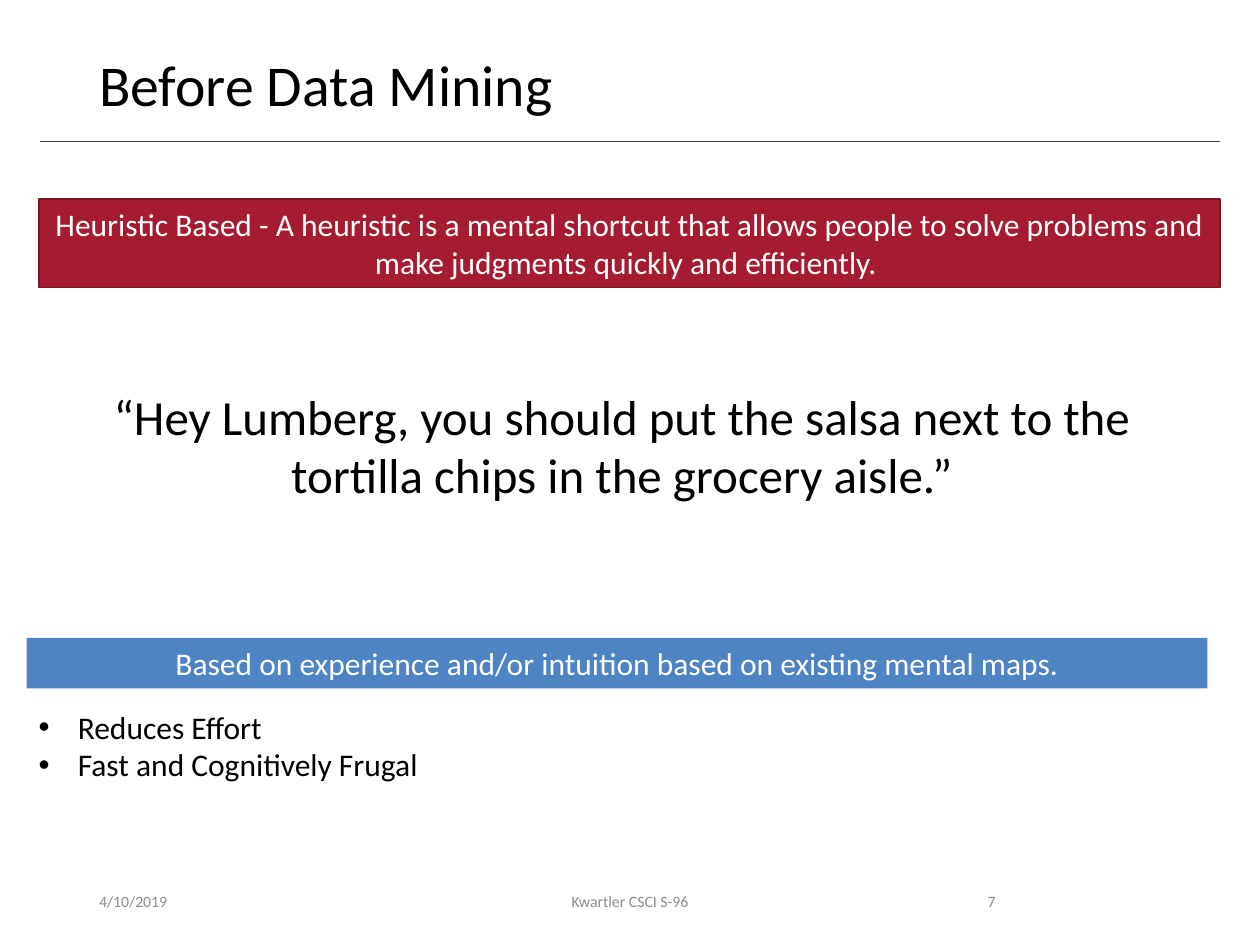
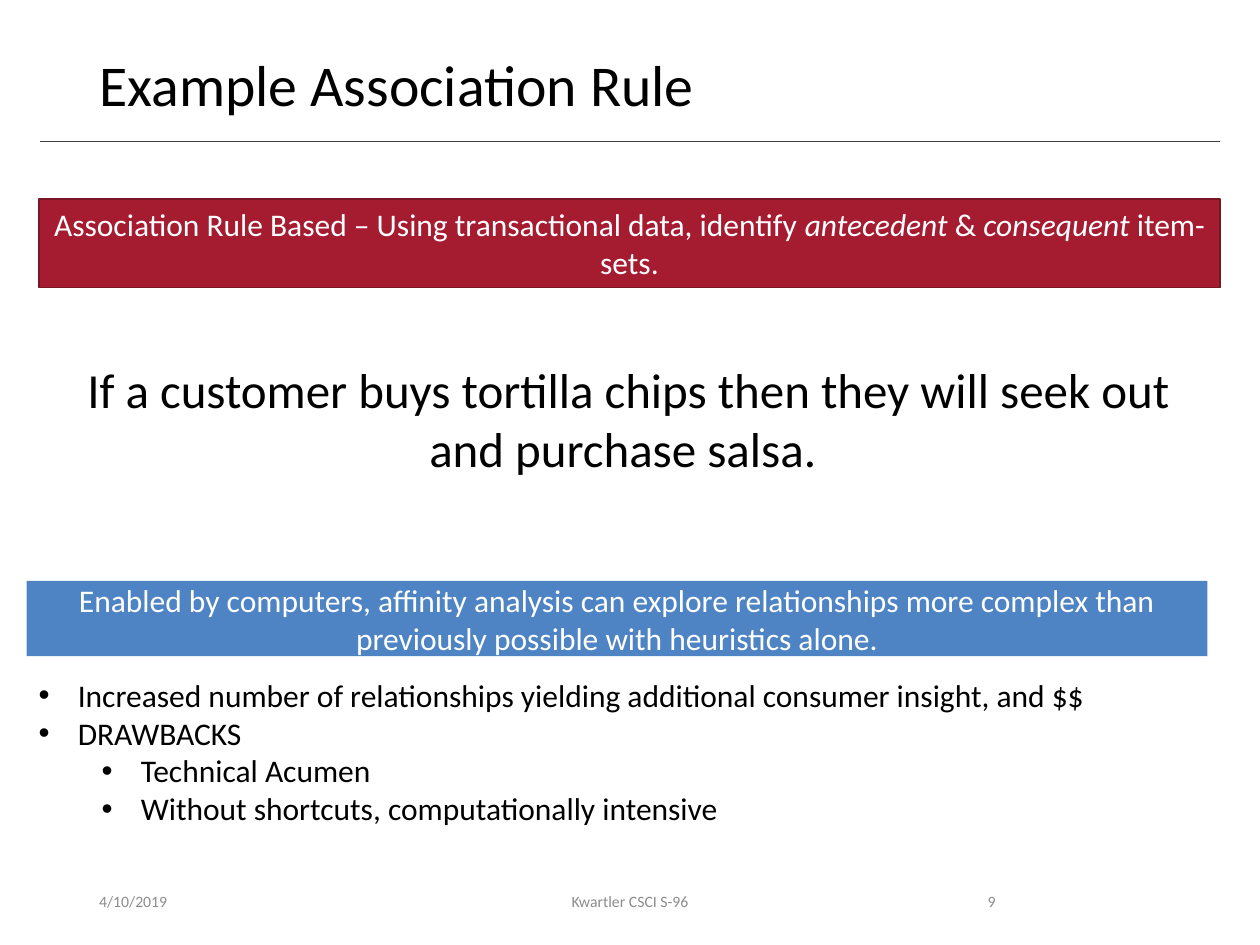
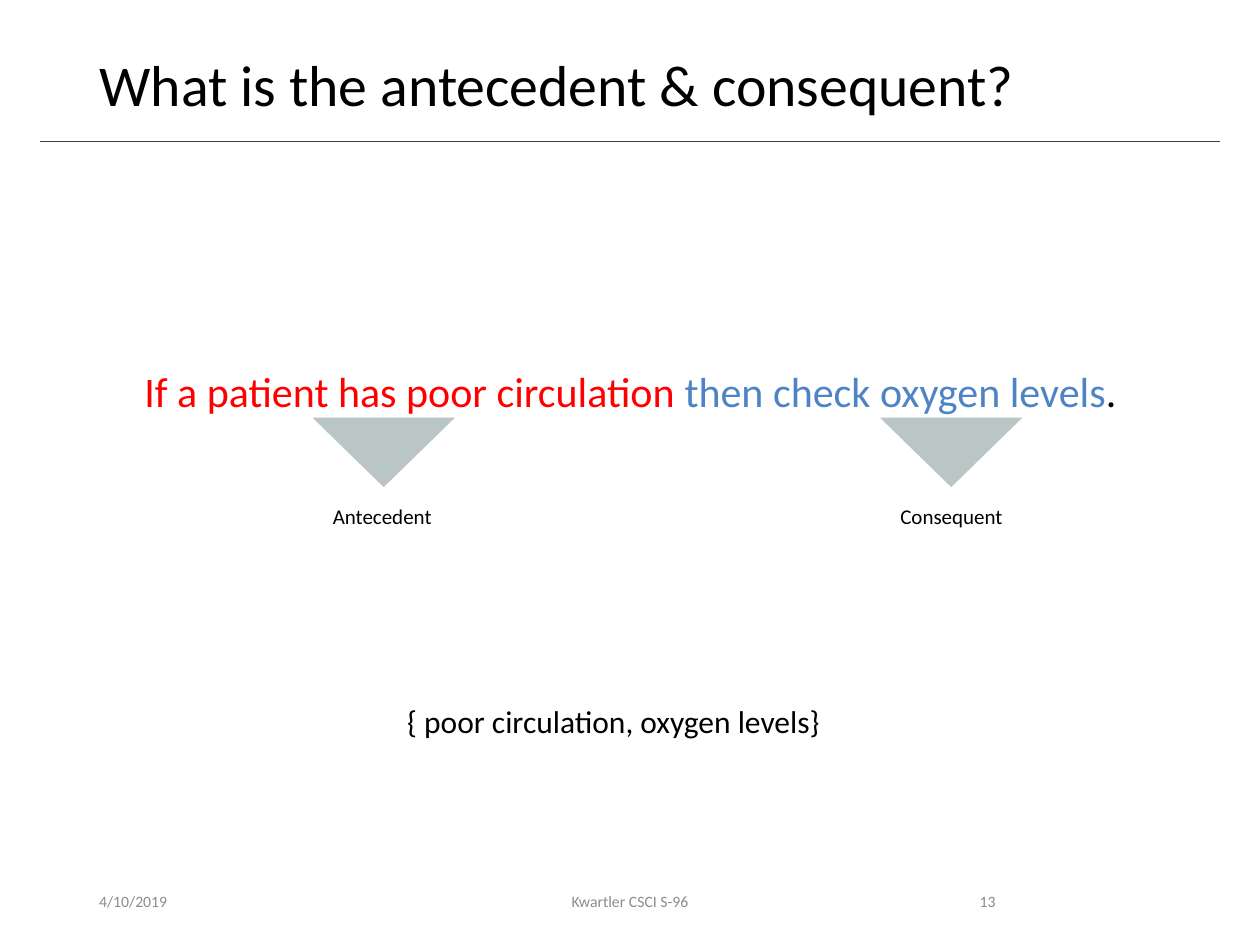
from lxml.etree import SubElement
from pptx import Presentation
from pptx.dml.color import RGBColor
from pptx.enum.shapes import MSO_CONNECTOR, MSO_SHAPE
from pptx.enum.text import MSO_ANCHOR, MSO_AUTO_SIZE, PP_ALIGN
from pptx.oxml.ns import qn
from pptx.util import Cm, Pt

FONT = "Calibri"
RED, EDGE, BLUE, GRAY = "A51C30", "7A1524", "4E84C4", "BAC5C6"
WHITE, BLACK, DIM, RULE, ALERT = "FFFFFF", "000000", "8C8C8C", "404040", "FF0000"
LEFT, MID, RIGHT = PP_ALIGN.LEFT, PP_ALIGN.CENTER, PP_ALIGN.RIGHT
HEAD = (1.75, 1.02, 21.9, 1.65)
FOOT = (1.75, 17.65, 18.57, 1.02)
BAND = (0.79, 4.01, 23.8, 1.79)


def hue(code):
    """Turn a hex string into a colour."""
    return RGBColor.from_string(code)


def span(box):
    """Turn a box in centimetres into lengths."""
    return [Cm(n) for n in box]


def add_run(para, text, size, color=BLACK, slant=False):
    """Add one styled run to a paragraph."""
    run = para.add_run()
    run.text = text
    font = run.font
    font.name, font.size, font.italic = FONT, Pt(size), slant
    font.color.rgb = hue(color)


def add_text(shapes, box, runs, size, align=LEFT, anchor=MSO_ANCHOR.TOP, wrap=True):
    """Add a text box holding one paragraph of (text, colour) runs."""
    frame = shapes.add_textbox(*span(box)).text_frame
    frame.word_wrap, frame.vertical_anchor = wrap, anchor
    para = frame.paragraphs[0]
    para.alignment = align
    for text, color in runs:
        add_run(para, text, size, color)


def add_solid(shapes, kind, box, fill, edge=None):
    """Add a flat preset shape."""
    shape = shapes.add_shape(kind, *span(box))
    shape.shadow.inherit = False
    shape.fill.solid()
    shape.fill.fore_color.rgb = hue(fill)
    if edge:
        shape.line.color.rgb = hue(edge)
        shape.line.width = Pt(1)
    else:
        shape.line.fill.background()
    return shape


def add_band(slide, box, parts, fill, edge=None):
    """Add a coloured band with centred (text, italic) parts."""
    shape = add_solid(slide.shapes, MSO_SHAPE.RECTANGLE, box, fill, edge)
    frame = shape.text_frame
    frame.word_wrap, frame.vertical_anchor = True, MSO_ANCHOR.MIDDLE
    para = frame.paragraphs[0]
    para.alignment = MID
    for text, slant in parts:
        add_run(para, text, 18, WHITE, slant)


def add_list(slide, box, items):
    """Add a bulleted list of (level, text) items."""
    frame = slide.shapes.add_textbox(*span(box)).text_frame
    frame.word_wrap = False
    for num, (level, text) in enumerate(items):
        para = frame.add_paragraph() if num else frame.paragraphs[0]
        para.level = level
        props = para._p.get_or_add_pPr()
        props.set("marL", str(Cm(0.79 + 1.27 * level)))
        props.set("indent", str(-Cm(0.79)))
        SubElement(props, qn("a:buFont")).set("typeface", "Arial")
        SubElement(props, qn("a:buChar")).set("char", "•")
        add_run(para, text, 18)


def add_head(slide, box, text):
    """Set the title and the rule below it."""
    title = slide.shapes.title
    title.left, title.top, title.width, title.height = span(box)
    frame = title.text_frame
    frame.word_wrap, frame.auto_size = True, MSO_AUTO_SIZE.NONE
    frame.vertical_anchor = MSO_ANCHOR.TOP
    para = frame.paragraphs[0]
    para.alignment, para.line_spacing = LEFT, 0.9
    add_run(para, text, 33)
    x, y, w, h = box
    low = Cm(y + h + 0.18)
    rule = slide.shapes.add_connector(
        MSO_CONNECTOR.STRAIGHT, Cm(x - 0.94), low, Cm(x + w + 0.94), low)
    rule.line.color.rgb = hue(RULE)
    rule.line.width = Pt(0.5)
    SubElement(rule._element.spPr, qn("a:effectLst"))


def add_foot(slide, box, page):
    """Add date, course and page number."""
    x, y, w, h = box
    cells = [("4/10/2019", 0, 5.72, LEFT),
             ("Kwartler CSCI S-96", 6.66, 8.58, MID),
             (str(page), w - 2.38, 2.38, RIGHT)]
    for text, shift, wide, align in cells:
        add_text(slide.shapes, (x + shift, y, wide, h), [(text, DIM)], 9,
                 align, MSO_ANCHOR.MIDDLE)


def add_mark(slide, box, text):
    """Add a grouped downward pointer with its label."""
    x, y, w, h = box
    group = slide.shapes.add_group_shape().shapes
    add_text(group, (x + 0.16, y + h + 0.2, w, 0.76),
             [(text, BLACK)], 12, wrap=True)
    add_solid(group, MSO_SHAPE.ISOSCELES_TRIANGLE, box, GRAY).rotation = 180


def add_slide(deck, title, page):
    """Add a slide with the shared head and foot."""
    slide = deck.slides.add_slide(deck.slide_layouts[5])
    add_head(slide, HEAD, title)
    add_foot(slide, FOOT, page)
    return slide


def add_method(deck, title, page, parts, quote, claim, items):
    """Add a slide with a definition, a quote, a claim and a list."""
    slide = add_slide(deck, title, page)
    add_band(slide, BAND, parts, RED, EDGE)
    box, text = quote
    add_text(slide.shapes, box, [(text, BLACK)], 28, MID)
    box, text = claim
    add_band(slide, box, [(text, False)], BLUE)
    add_list(slide, *items)


def add_terms(deck):
    """Add the slide that names the two halves of a rule."""
    slide = add_slide(deck, "What is the antecedent & consequent?", 13)
    add_text(slide.shapes, (1.75, 7.24, 21.92, 1.27),
             [("If a patient has poor circulation ", ALERT),
              ("then check oxygen levels", BLUE), (".", BLACK)], 24, MID)
    add_text(slide.shapes, (7.96, 14.02, 9.07, 1.02),
             [("{ poor circulation, oxygen levels}", BLACK)], 18, wrap=False)
    for x, text in [(6.3, "Antecedent"), (17.74, "Consequent")]:
        add_mark(slide, (x, 8.42, 2.87, 1.4), text)


def main():
    """Build and save the deck."""
    deck = Presentation()
    deck.slide_width, deck.slide_height = Cm(25.4), Cm(19.05)
    add_method(
        deck, "Before Data Mining", 7,
        [("Heuristic Based - A heuristic is a mental shortcut that allows people "
          "to solve problems and make judgments quickly and efficiently. ", False)],
        ((0.76, 7.66, 23.55, 2.64),
         "“Hey Lumberg, you should put the salsa next to the tortilla chips "
         "in the grocery aisle.”"),
        ((0.54, 12.86, 23.8, 1.02),
         "Based on experience and/or intuition based on existing mental maps."),
        ((0.53, 14.14, 8.26, 1.8),
         [(0, "Reduces Effort"), (0, "Fast and Cognitively Frugal")]))
    add_method(
        deck, "Example Association Rule", 9,
        [("Association Rule Based – Using transactional data, identify ", False),
         ("antecedent", True), (" & ", False), ("consequent", True),
         (" item-sets.", False)],
        ((0.65, 7.13, 24.03, 2.64),
         "If a customer buys tortilla chips then they will seek out "
         "and purchase salsa. "),
        ((0.54, 11.71, 23.8, 1.52),
         "Enabled by computers, affinity analysis can explore relationships "
         "more complex than previously possible with heuristics alone."),
        ((0.53, 13.5, 21.87, 3.33),
         [(0, "Increased number of relationships yielding additional "
              "consumer insight, and $$"),
          (0, "DRAWBACKS"), (1, "Technical Acumen"),
          (1, "Without shortcuts, computationally intensive")]))
    add_terms(deck)
    deck.save("out.pptx")


if __name__ == "__main__":
    main()
